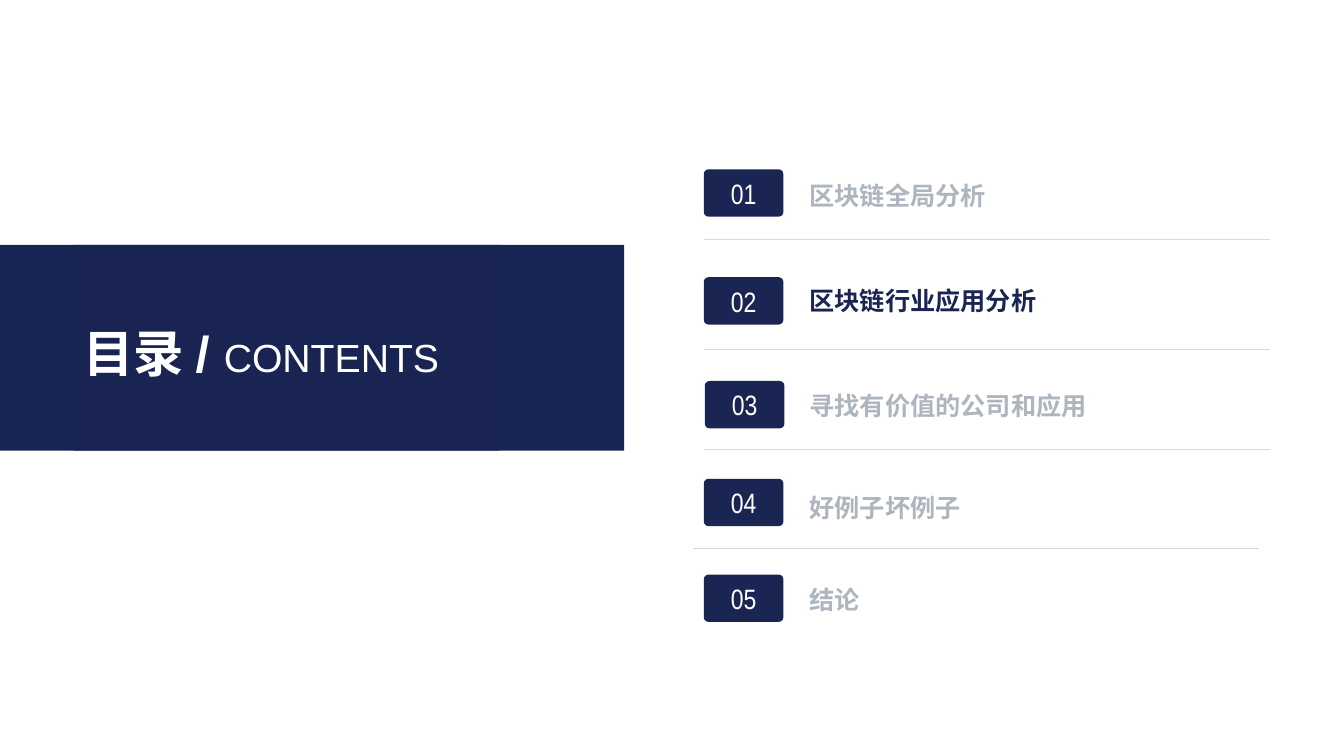
from dataclasses import dataclass

from lxml.etree import SubElement
from pptx import Presentation
from pptx.dml.color import RGBColor
from pptx.enum.shapes import MSO_CONNECTOR as Connector, MSO_SHAPE as Shape
from pptx.enum.text import MSO_ANCHOR as Anchor, PP_ALIGN as Align
from pptx.oxml.ns import qn
from pptx.util import Inches, Pt

NAVY, BAND, WHITE = "1A2554", "182452", "FFFFFF"
MUTED, RULE = "ADB5BF", "D9D9D9"


@dataclass
class Chapter:
    title: str
    badge_top: float
    title_top: float
    badge_left: float = 6.98
    color: str = MUTED


@dataclass
class Divider:
    top: float
    left: float = 6.98


CHAPTERS = [
    Chapter("区块链全局分析", 1.68, 1.71),
    Chapter("区块链行业应用分析", 2.75, 2.75, color=NAVY),
    Chapter("寻找有价值的公司和应用", 3.78, 3.79, badge_left=6.99),
    Chapter("好例子坏例子", 4.75, 4.8),
    Chapter("结论", 5.7, 5.72),
]
DIVIDERS = [Divider(2.37), Divider(3.46), Divider(4.46), Divider(5.44, left=6.87)]
DIVIDER_WIDTH = 5.62


def rgb(color: str) -> RGBColor:
    return RGBColor.from_string(color)


def add_block(slide, kind, left: float, top: float, width: float, height: float, color: str):
    block = slide.shapes.add_shape(kind, Inches(left), Inches(top), Inches(width), Inches(height))
    block.shadow.inherit = False
    block.fill.solid()
    block.fill.fore_color.rgb = rgb(color)
    block.line.fill.background()
    return block


def add_words(paragraph, words: str, color: str, **formats) -> None:
    run = paragraph.add_run()
    run.text = words
    run.font.color.rgb = rgb(color)
    for attribute, value in formats.items():
        setattr(run.font, attribute, value)


def add_heading(slide) -> None:
    # Band with a translucent overlay
    add_block(slide, Shape.RECTANGLE, 0, 2.43, 6.19, 2.04, BAND)
    overlay = add_block(slide, Shape.RECTANGLE, 0.73, 2.43, 4.22, 2.04, NAVY)
    tint = next(overlay.fill._xPr.iter(qn("a:srgbClr")))
    SubElement(tint, qn("a:alpha"), val="80000")

    # Bilingual heading
    heading = slide.shapes.add_textbox(Inches(0.73), Inches(2.72), Inches(4.83), Inches(1.12))
    frame = heading.text_frame
    frame.word_wrap = True
    frame.vertical_anchor = Anchor.BOTTOM
    line = frame.paragraphs[0]
    add_words(line, "目录 / ", WHITE, name="Arial", size=Pt(36), bold=True)
    add_words(line, "CONTENTS", WHITE, name="Arial", size=Pt(28), bold=False)


def add_chapter(slide, number: int, chapter: Chapter) -> None:
    # Number badge
    badge = add_block(slide, Shape.ROUNDED_RECTANGLE, chapter.badge_left, chapter.badge_top,
                      0.79, 0.47, NAVY)
    badge.adjustments[0] = 0.1
    frame = badge.text_frame
    frame.word_wrap = False
    frame.vertical_anchor = Anchor.MIDDLE
    line = frame.paragraphs[0]
    line.alignment = Align.CENTER
    add_words(line, f"{number:02}", WHITE, name="Arial Narrow", size=Pt(20))

    # Chapter title
    title = slide.shapes.add_textbox(Inches(7.93), Inches(chapter.title_top),
                                     Inches(4.04), Inches(0.38))
    title.text_frame.word_wrap = False
    line = title.text_frame.paragraphs[0]
    line.line_spacing = 1.1
    add_words(line, chapter.title, chapter.color, name="Arial", size=Pt(18), bold=True)


def add_divider(slide, divider: Divider) -> None:
    rule = slide.shapes.add_connector(
        Connector.STRAIGHT, Inches(divider.left), Inches(divider.top),
        Inches(divider.left + DIVIDER_WIDTH), Inches(divider.top))
    rule.line.color.rgb = rgb(RULE)
    rule.line.width = Pt(0.25)
    SubElement(rule._element.spPr, qn("a:effectLst"))


def main() -> None:
    deck = Presentation()
    deck.slide_width, deck.slide_height = Inches(13.33), Inches(7.5)
    slide = deck.slides.add_slide(deck.slide_layouts[6])

    add_heading(slide)
    for number, chapter in enumerate(CHAPTERS, start=1):
        add_chapter(slide, number, chapter)
    for divider in DIVIDERS:
        add_divider(slide, divider)

    deck.save("out.pptx")


if __name__ == "__main__":
    main()
